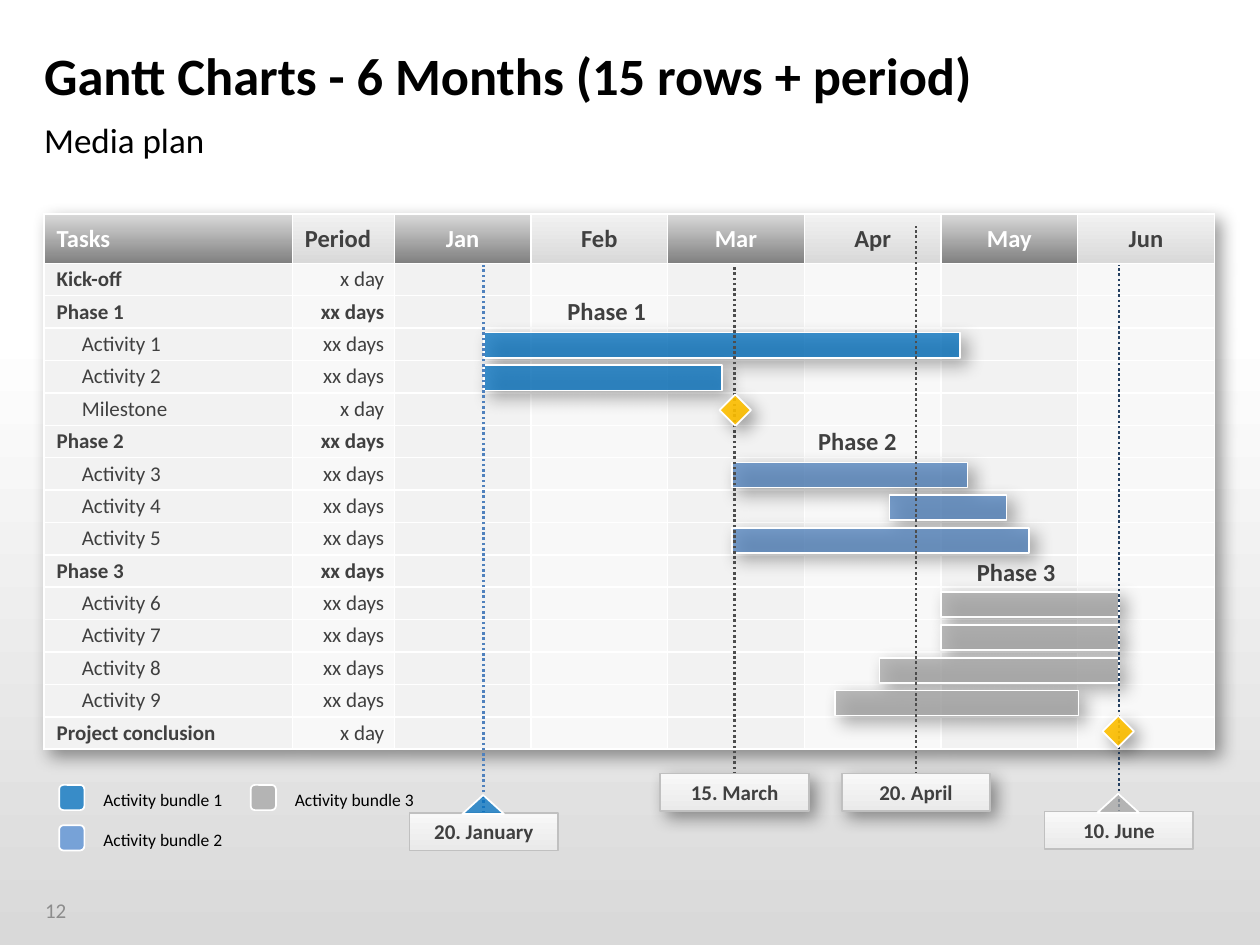
"""Build a six-month Gantt chart slide with phases, milestones and date flags."""
from lxml import etree
from pptx import Presentation
from pptx.dml.color import RGBColor
from pptx.enum import dml, shapes, text
from pptx.oxml import parse_xml
from pptx.oxml.ns import qn
from pptx.util import Emu, Pt

PX = 9144
NS = 'xmlns:a="http://schemas.openxmlformats.org/drawingml/2006/main"'
SHADOW = (f'<a:effectLst {NS}><a:outerShdw blurRad="127000" dist="63500" dir="2700000" algn="tl">'
          '<a:srgbClr val="000000"><a:alpha val="40000"/></a:srgbClr></a:outerShdw></a:effectLst>')
BORDER = f'<a:{{}} {NS} w="12700"><a:solidFill><a:srgbClr val="FFFFFF"/></a:solidFill></a:{{}}>'
C = {"white": "FFFFFF", "black": "000000", "text": "404040", "number": "8C8C8C",
     "blue": "0070C0", "steel": "4F81BD", "sky": "558ED5", "grey": "A6A6A6",
     "gold": "FFC000", "navy": "254061", "dot": "4D4D4D", "edge": "C0C0C0",
     "odd": "F2F2F2", "even": "F8F8F8", "mid": "D9D9D9", "dark": "808080", "flag": "EAEAEA"}
LEFT, CENTER, RIGHT = text.PP_ALIGN.LEFT, text.PP_ALIGN.CENTER, text.PP_ALIGN.RIGHT
TOP, MIDDLE = text.MSO_ANCHOR.TOP, text.MSO_ANCHOR.MIDDLE
RECT, ROUND = shapes.MSO_SHAPE.RECTANGLE, shapes.MSO_SHAPE.ROUNDED_RECTANGLE
PEAK, DIAMOND = shapes.MSO_SHAPE.ISOSCELES_TRIANGLE, shapes.MSO_SHAPE.DIAMOND


def paint(fill, names, alpha=100):
    if len(names) == 2:
        fill.gradient()
        fill.gradient_angle = 270
        for stop, name in zip(fill.gradient_stops, names):
            stop.color.rgb = RGBColor.from_string(C[name])
        return
    fill.solid()
    fill.fore_color.rgb = RGBColor.from_string(C[names[0]])
    if alpha < 100:
        color = fill._xPr.find(qn("a:solidFill"))[0]
        etree.SubElement(color, qn("a:alpha")).set("val", str(alpha * 1000))


def write(tf, words, size, color, bold, align):
    p = tf.paragraphs[0]
    p.alignment = align
    r = p.add_run()
    r.text = words
    fmt = {"name": "Calibri", "size": Pt(size), "bold": bold}
    for key, value in fmt.items():
        setattr(r.font, key, value)
    r.font.color.rgb = RGBColor.from_string(C[color])
    return p


prs = Presentation()
prs.slide_width, prs.slide_height = 1000 * PX, 750 * PX
s = prs.slides.add_slide(prs.slide_layouts[6])

backdrop = s.shapes.add_shape(RECT, 0, 259 * PX, 1000 * PX, 491 * PX)
backdrop.shadow.inherit = False
backdrop.line.fill.background()
paint(backdrop.fill, ("white", "mid"))

months = ["Jan", "Feb", "Mar", "Apr", "May", "Jun"]
tasks = ["Kick-off", "Phase 1", "Activity 1", "Activity 2", "Milestone", "Phase 2",
         "Activity 3", "Activity 4", "Activity 5", "Phase 3", "Activity 6", "Activity 7",
         "Activity 8", "Activity 9", "Project conclusion"]
single_days = ("Kick-off", "Milestone", "Project conclusion")
head_h, row_h = 39, 386 / len(tasks)
body_top = 170 + head_h
frame = s.shapes.add_table(len(tasks) + 1, 8, 35 * PX, 170 * PX, 929 * PX, 425 * PX)
table = frame.table
table.horz_banding = table.first_row = False
table._tbl.tblPr.insert(0, parse_xml(SHADOW))
for col, width in zip(table.columns, [197, 81] + [651 / 6] * 6):
    col.width = Emu(int(width * PX))
for i, row in enumerate(table.rows):
    row.height = Emu(int((row_h if i else head_h) * PX))
    for j, cell in enumerate(row.cells):
        task = tasks[i - 1]
        is_main = task in ("Kick-off", "Project conclusion") or task.startswith("Phase")
        if i == 0:
            label = (["Tasks", "Period"] + months)[j]
            margins = (10, 5, 10, 5) if j < 2 else (0, 5, 0, 5)
            p = write(cell.text_frame, label, 14, "text" if j % 2 else "white", True,
                      LEFT if j < 2 else CENTER)
            fill = ("odd", "mid") if j % 2 else ("mid", "dark")
        else:
            margins = (4, 2, 8, 2) if j else (10, 2, 2, 2)
            fill = ("even",) if j % 2 else ("odd",)
            if j == 0:
                p = write(cell.text_frame, task, 12, "text", is_main, LEFT)
                if not is_main:
                    p._p.get_or_add_pPr().set("marL", str(20 * PX))
            elif j == 1:
                days = "x day" if task in single_days else "xx days"
                write(cell.text_frame, days, 12, "text", task.startswith("Phase"), RIGHT)
            else:
                end = etree.SubElement(cell.text_frame.paragraphs[0]._p, qn("a:endParaRPr"))
                end.set("sz", "1200")
        cell.vertical_anchor = MIDDLE
        for side, size in zip(("left", "top", "right", "bottom"), margins):
            setattr(cell, f"margin_{side}", Emu(size * PX))
        for tag in ("lnL", "lnR", "lnT", "lnB"):
            cell._tc.get_or_add_tcPr().append(parse_xml(BORDER.format(tag, tag)))
        paint(cell.fill, fill)

labels = [
    (26, 702, 64, 40, "12", 12, "number", False, LEFT, MIDDLE, 10),
    (35, 26, 929, 67, "Gantt Charts - 6 Months (15 rows + period)", 30, "black", True, LEFT, MIDDLE, 0),
    (35, 94, 929, 37, "Media plan", 20, "black", False, LEFT, TOP, 0),
]
for x, y, phase in ((450, 235, 1), (649, 338, 2), (775, 442, 3)):
    labels.append((x, y, 63, 24, f"Phase {phase}", 14, "text", True, CENTER, TOP, 0))
legend = [(47, 623, "blue"), (47, 655, "sky"), (199, 623, "grey")]
for n, (x, y, color) in enumerate(legend, 1):
    labels.append((x + 35, y + 3, 102, 17, f"Activity bundle {n}", 10, "black", False, LEFT, TOP, 0))
for x, y, w, h, words, size, color, bold, align, anchor, inset in labels:
    tf = s.shapes.add_textbox(x * PX, y * PX, w * PX, h * PX).text_frame
    fmt = {"margin_left": inset * PX, "margin_right": 0, "margin_top": 0, "margin_bottom": 0,
           "vertical_anchor": anchor, "word_wrap": w > 102}
    for key, value in fmt.items():
        setattr(tf, key, value)
    write(tf, words, size, color, bold, align)

bars = [("Activity 1", 384, 378, "blue"), ("Activity 2", 384, 189, "blue"),
        ("Activity 3", 581, 187, "steel"), ("Activity 4", 706, 93, "steel"),
        ("Activity 5", 581, 236, "steel"), ("Activity 6", 747, 141, "grey"),
        ("Activity 7", 747, 141, "grey"), ("Activity 8", 698, 190, "grey"),
        ("Activity 9", 663, 193, "grey")]
flags = [("20. April", 727, 179, 614, "dot", None), ("15. March", 583, 210, 614, "dot", None),
         ("20. January", 384, 210, 645, "steel", "blue"), ("10. June", 888, 210, 644, "navy", "grey")]

items = []
for task, x, w, color in bars:
    y = round(body_top + tasks.index(task) * row_h + 4)
    items.append((RECT, x, y, w, 20, (color,), 75, "white", True, ""))
for date, x, top, y, color, peak in flags:
    items.append((None, x, top, 0, y + 9 - top, (), 100, color, False, ""))
    items.append((RECT, x - 59, y, 118, 30, ("even", "flag"), 100, "edge", not peak, date))
    if peak:
        items.append((PEAK, x - 17, y - 14, 33, 15, (peak,), 75, "white", False, ""))
for x, y, color in legend:
    items.append((ROUND, x, y, 20, 20, (color,), 75, "white", False, ""))
for x, y in ((875, 568), (571, 313)):
    items.append((DIAMOND, x, y, 25, 25, ("gold",), 90, "white", True, ""))

for kind, x, y, w, h, fill, alpha, line, shadow, words in items:
    if kind is None:
        sp = s.shapes.add_connector(shapes.MSO_CONNECTOR.STRAIGHT, x * PX, (y + h) * PX, x * PX, y * PX)
        etree.SubElement(sp._element.spPr, qn("a:effectLst"))
        sp.line.dash_style = dml.MSO_LINE.ROUND_DOT
    else:
        sp = s.shapes.add_shape(kind, x * PX, y * PX, w * PX, h * PX)
        paint(sp.fill, fill, alpha)
    sp.line.color.rgb = RGBColor.from_string(C[line])
    sp.line.width = Pt(1 if kind else 1.5)
    if shadow:
        sp._element.spPr.append(parse_xml(SHADOW))
    elif kind:
        sp.shadow.inherit = False
    if words:
        tf = sp.text_frame
        for side in ("left", "top", "right", "bottom"):
            setattr(tf, f"margin_{side}", 0)
        tf.vertical_anchor = MIDDLE
        tf.word_wrap = False
        write(tf, words, 12, "text", True, CENTER)

prs.save("out.pptx")
